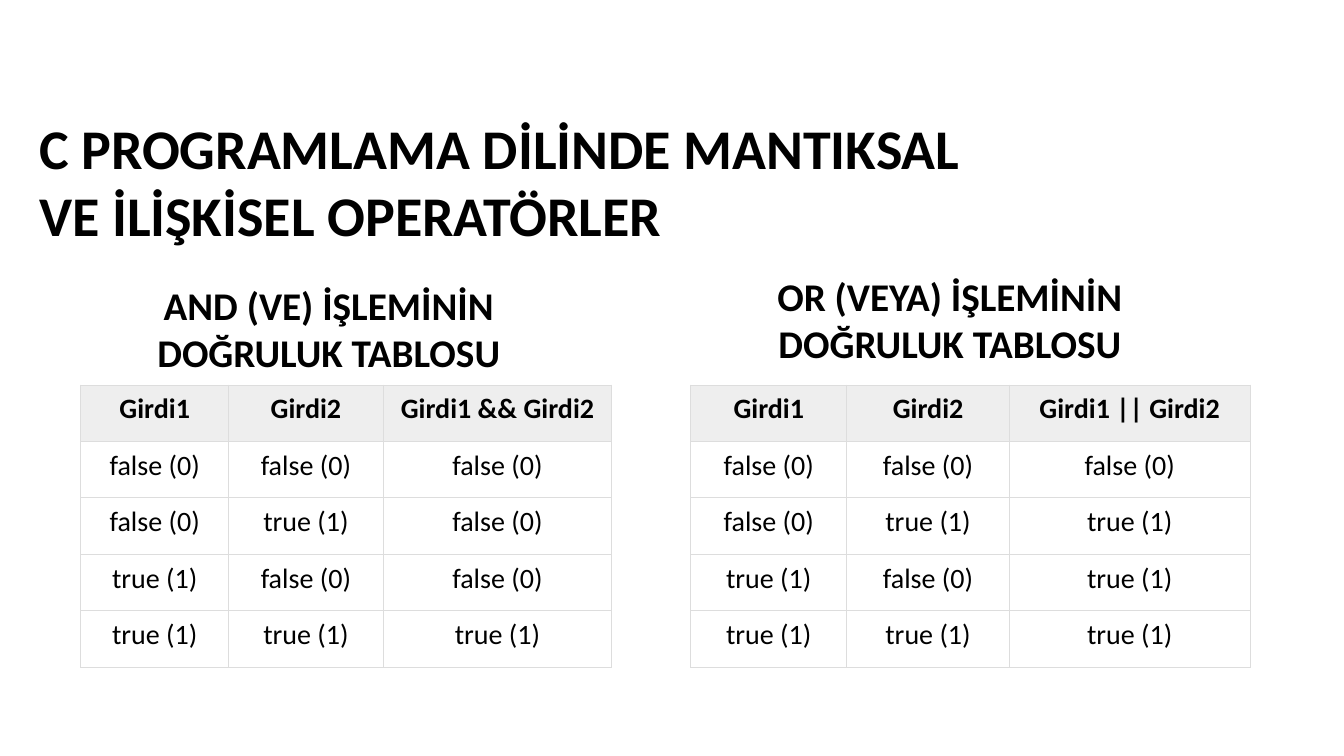
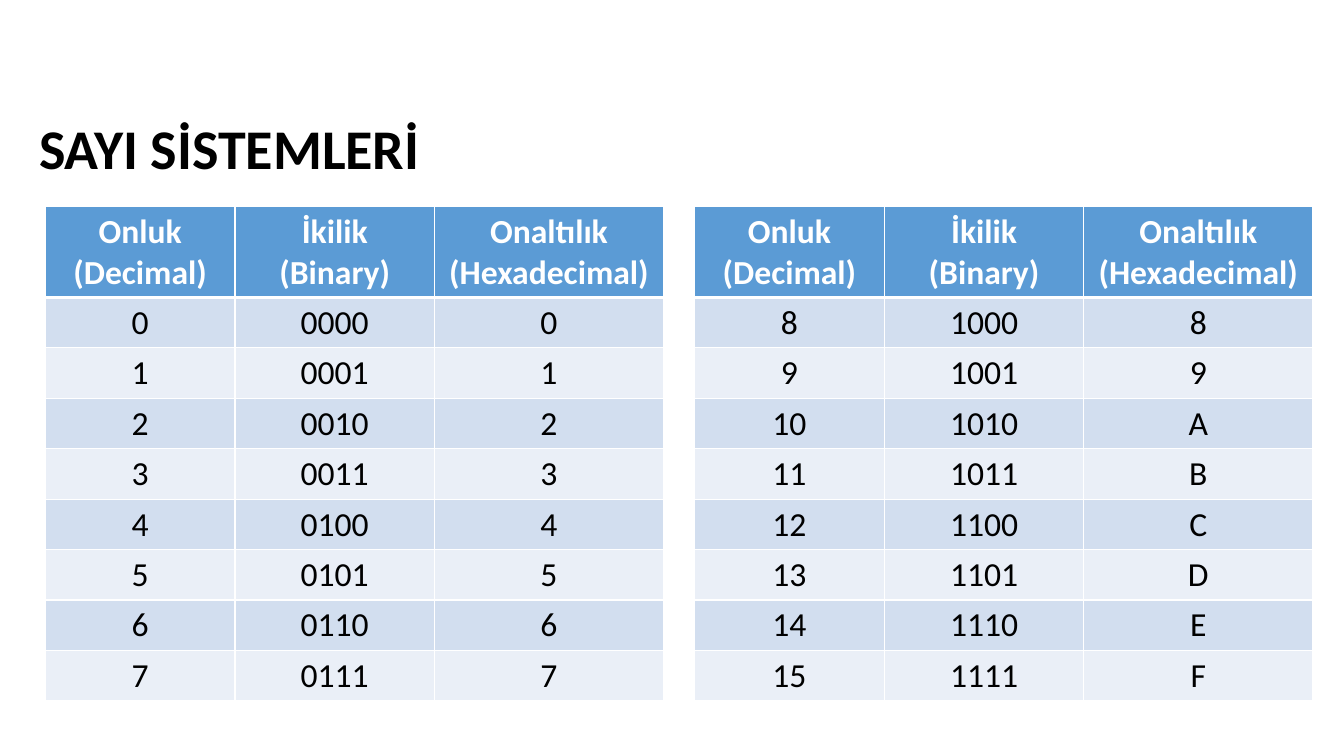
from dataclasses import dataclass
from itertools import product

from lxml.etree import SubElement
from pptx import Presentation
from pptx.dml.color import RGBColor
from pptx.enum.text import MSO_AUTO_SIZE as AutoSize, PP_ALIGN as Align
from pptx.oxml.ns import qn
from pptx.util import Inches, Pt

# Content
OPERATORS_TITLE = ["C PROGRAMLAMA DİLİNDE MANTIKSAL", "VE İLİŞKİSEL OPERATÖRLER"]
NUMBERS_TITLE = ["SAYI SİSTEMLERİ"]
TRUTH_TABLES = [
    {"caption": "AND (VE) İŞLEMİNİN DOĞRULUK TABLOSU", "symbol": "&&",
     "result": lambda a, b: a and b, "caption_at": (1.01, 2.74),
     "left": 0.8, "columns": [1.47, 1.53, 2.27]},
    {"caption": "OR (VEYA) İŞLEMİNİN DOĞRULUK TABLOSU", "symbol": "||",
     "result": lambda a, b: a or b, "caption_at": (7.17, 2.65),
     "left": 6.85, "columns": [1.55, 1.61, 2.39]},
]
TRUTH_LABELS = {False: "false (0)", True: "true (1)"}
NUMBER_HEADER = ["Onluk (Decimal)", "İkilik (Binary)", "Onaltılık (Hexadecimal)"]
NUMBER_COLUMNS = [1.88, 1.98, 2.27]
NUMBER_TABLES = [(0.45, range(0, 8)), (6.89, range(8, 16))]


# Theme
@dataclass(frozen=True)
class TableStyle:
    size: int
    header_color: str
    header_fill: str
    body_fills: tuple
    border: str
    border_width: float
    rule_width: float  # line between the header and the body
    header_height: float
    row_height: float
    margins: dict


class Theme:
    font = "Calibri"
    text = "000000"
    title_size, caption_size = 40, 28
    truth = TableStyle(20, text, "EEEEEE", (None,), "DDDDDD", 0.75, 0.75, 0.56, 0.56,
                       dict.fromkeys(("left", "right", "top", "bottom"), 0.07))
    numbers = TableStyle(24, "FFFFFF", "5B9BD5", ("D2DEEF", "EAEFF7"), "FFFFFF", 1, 3,
                         0.9, 0.5, {})


# Helpers
def write(frame, lines, size, color=Theme.text, bold=True, align=Align.LEFT):
    font_format = {"name": Theme.font, "size": Pt(size), "bold": bold}
    for index, line in enumerate(lines):
        paragraph = frame.add_paragraph() if index else frame.paragraphs[0]
        paragraph.alignment = align
        run = paragraph.add_run()
        run.text = line
        for name, value in font_format.items():
            setattr(run.font, name, value)
        run.font.color.rgb = RGBColor.from_string(color)


def add_text(slide, box, lines, size, wrap=True, align=Align.LEFT):
    frame = slide.shapes.add_textbox(*map(Inches, box)).text_frame
    frame.word_wrap = wrap
    frame.auto_size = AutoSize.SHAPE_TO_FIT_TEXT
    write(frame, lines, size, align=align)


def add_title_slide(deck, lines, width, height):
    slide = deck.slides.add_slide(deck.slide_layouts[6])
    add_text(slide, (0.29, 1.08, width, height), lines, Theme.title_size, wrap=False)
    return slide


def set_borders(cell, color, widths):
    properties = cell._tc.get_or_add_tcPr()
    for side, width in widths.items():
        line = SubElement(properties, qn(f"a:ln{side}"), w=str(Pt(width)))
        SubElement(SubElement(line, qn("a:solidFill")), qn("a:srgbClr"), val=color)


def add_styled_table(slide, left, top, columns, rows, style):
    heights = [style.header_height] + [style.row_height] * (len(rows) - 1)
    box = map(Inches, (left, top, sum(columns), sum(heights)))
    table = slide.shapes.add_table(len(rows), len(columns), *box).table
    table.first_row = table.horz_banding = False
    for column, width in zip(table.columns, columns):
        column.width = Inches(width)
    for index, (row, height, texts) in enumerate(zip(table.rows, heights, rows)):
        row.height = Inches(height)
        is_header = index == 0
        fill = (style.header_fill if is_header
                else style.body_fills[(index - 1) % len(style.body_fills)])
        widths = dict.fromkeys("LRTB", style.border_width)
        if index < 2:
            widths["B" if is_header else "T"] = style.rule_width
        for cell, text in zip(row.cells, texts):
            for side, margin in style.margins.items():
                setattr(cell, f"margin_{side}", Inches(margin))
            set_borders(cell, style.border, widths)
            if fill:
                cell.fill.solid()
                cell.fill.fore_color.rgb = RGBColor.from_string(fill)
            else:
                cell.fill.background()
            write(cell.text_frame, [text], style.size,
                  style.header_color if is_header else Theme.text, is_header, Align.CENTER)


# Slides
def build_operators(deck):
    slide = add_title_slide(deck, OPERATORS_TITLE, 9.55, 1.45)
    for truth in TRUTH_TABLES:
        rows = [["Girdi1", "Girdi2", f"Girdi1 {truth['symbol']} Girdi2"]]
        for a, b in product((False, True), repeat=2):
            rows.append([TRUTH_LABELS[value] for value in (a, b, truth["result"](a, b))])
        add_styled_table(slide, truth["left"], 3.82, truth["columns"], rows, Theme.truth)
        add_text(slide, (*truth["caption_at"], 4.5, 1.04), [truth["caption"]],
                 Theme.caption_size, align=Align.CENTER)


def build_number_systems(deck):
    slide = add_title_slide(deck, NUMBERS_TITLE, 4.01, 0.77)
    for left, numbers in NUMBER_TABLES:
        rows = [NUMBER_HEADER] + [[str(n), f"{n:04b}", f"{n:X}"] for n in numbers]
        add_styled_table(slide, left, 2.05, NUMBER_COLUMNS, rows, Theme.numbers)


def main():
    deck = Presentation()
    deck.slide_width, deck.slide_height = Inches(13.33), Inches(7.5)
    build_operators(deck)
    build_number_systems(deck)
    deck.save("out.pptx")


if __name__ == "__main__":
    main()
